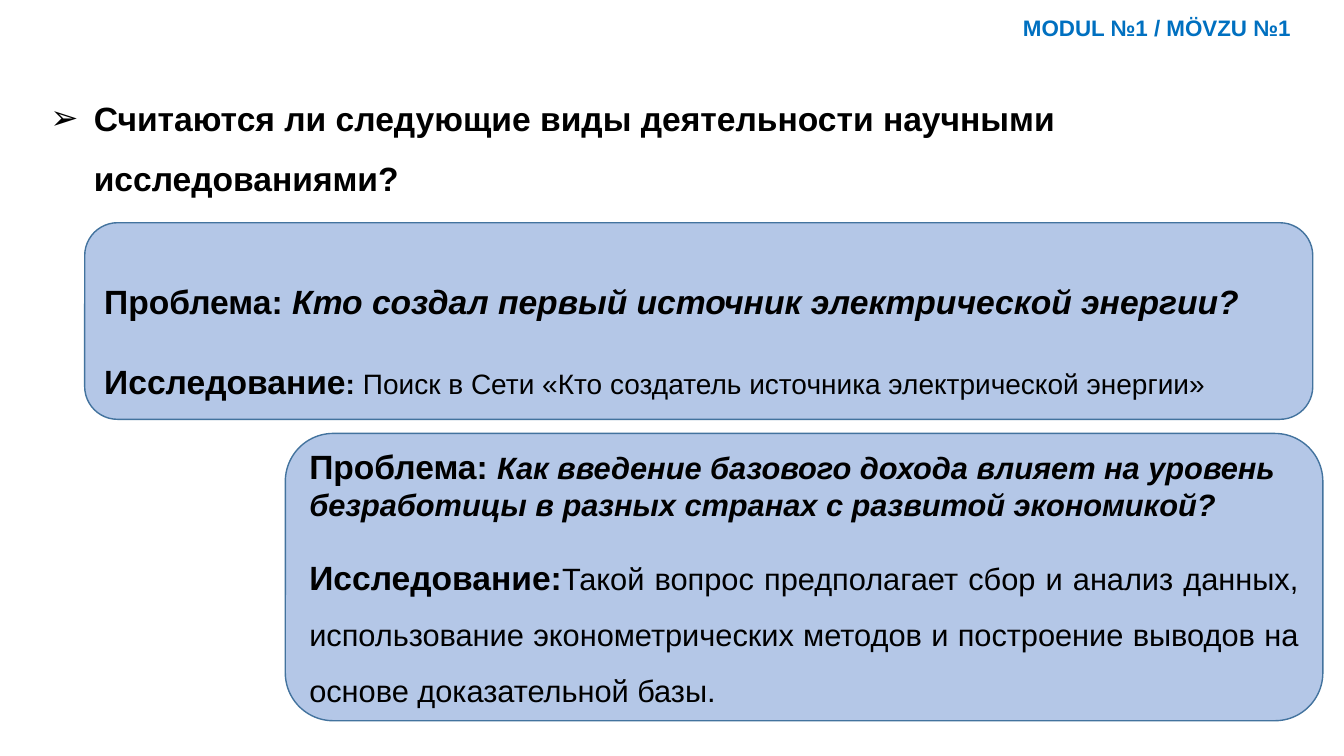
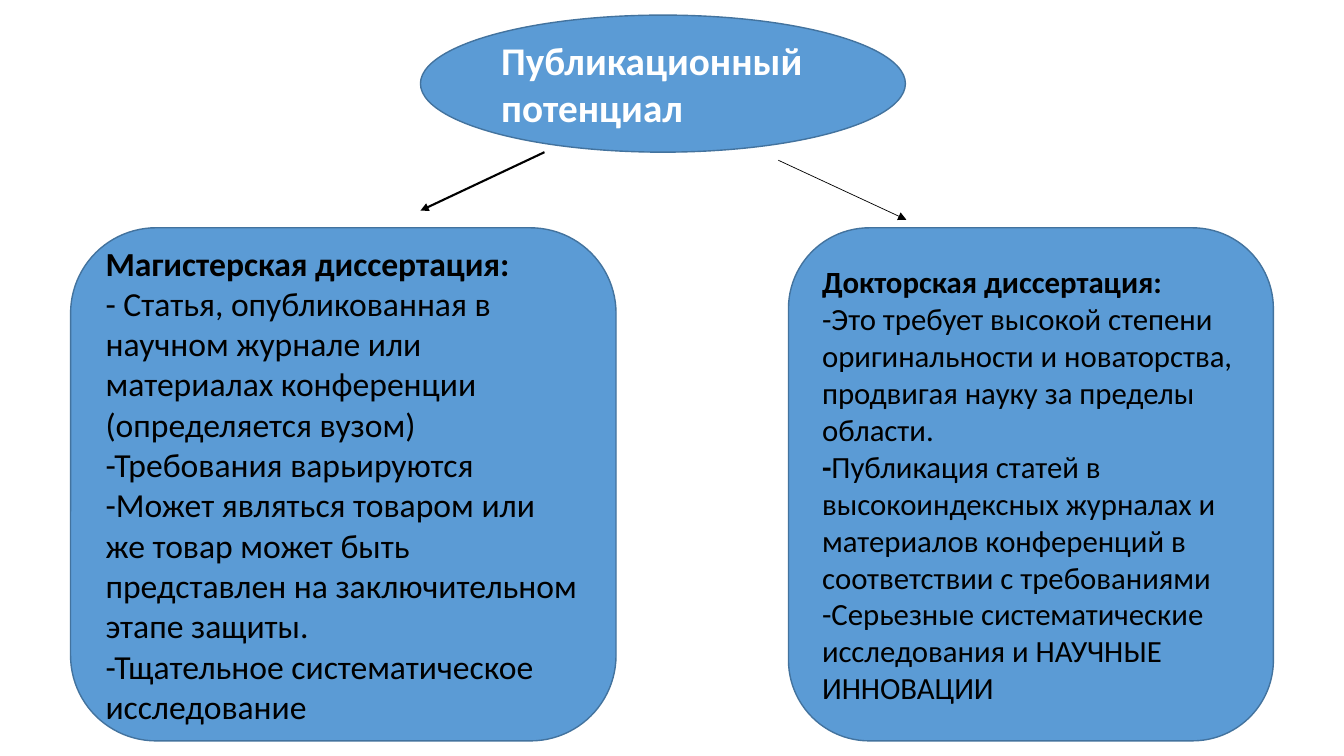
from lxml import etree
from pptx import Presentation
from pptx.dml.color import RGBColor
from pptx.enum.shapes import MSO_CONNECTOR, MSO_SHAPE
from pptx.enum.text import MSO_ANCHOR, MSO_AUTO_SIZE, PP_ALIGN
from pptx.oxml.ns import qn
from pptx.util import Inches, Pt

ROUND, ELLIPSE = MSO_SHAPE.ROUNDED_RECTANGLE, MSO_SHAPE.OVAL
STRAIGHT = MSO_CONNECTOR.STRAIGHT
NO_FIT = MSO_AUTO_SIZE.NONE
TOP, MIDDLE, BOTTOM = MSO_ANCHOR.TOP, MSO_ANCHOR.MIDDLE, MSO_ANCHOR.BOTTOM
LEFT, CENTER, JUSTIFY = PP_ALIGN.LEFT, PP_ALIGN.CENTER, PP_ALIGN.JUSTIFY

COLORS = {
    "text": "000000",
    "white": "FFFFFF",
    "header": "0070C0",
    "pale": "B4C7E7",
    "blue": "5B9BD5",
    "outline": "43739E",
}
BOLD = {"bold": True}
BOLD_ITALIC = {"bold": True, "italic": True}


def color(name):
    return RGBColor.from_string(COLORS[name])


def para(*runs, **fmt):
    return runs, fmt


class Deck:
    def __init__(self):
        self.prs = Presentation()
        self.prs.slide_width = Inches(13.33)
        self.prs.slide_height = Inches(7.5)
        self.s = None
        self.font = "Arial"

    def slide(self, font):
        self.s = self.prs.slides.add_slide(self.prs.slide_layouts[5])
        self.font = font

    def fill_text(self, sp, paras, size, ink="text", anchor=MIDDLE):
        tf = sp.text_frame
        frame = {"word_wrap": True, "auto_size": NO_FIT, "vertical_anchor": anchor}
        for name, value in frame.items():
            setattr(tf, name, value)
        for i, (runs, fmt) in enumerate(paras):
            p = tf.add_paragraph() if i else tf.paragraphs[0]
            for name, value in {"alignment": LEFT, **fmt}.items():
                setattr(p, name, value)
            for text, style in runs:
                r = p.add_run()
                r.text = text
                base = {"name": self.font, "size": Pt(size),
                        "bold": False, "italic": False}
                for name, value in {**base, **style}.items():
                    setattr(r.font, name, value)
                r.font.color.rgb = color(ink)

    def title(self, box, text, size, ink="text", anchor=MIDDLE, bullet=None, **fmt):
        sp = self.s.shapes.title
        for name, value in zip(("left", "top", "width", "height"), box):
            setattr(sp, name, Inches(value))
        self.s.shapes.element.append(sp.element)
        if bullet:
            pPr = sp.text_frame.paragraphs[0]._p.get_or_add_pPr()
            pPr.set("marL", str(Inches(0.43)))
            pPr.set("indent", str(-Inches(0.43)))
            etree.SubElement(pPr, qn("a:buFont"), typeface="Arial")
            etree.SubElement(pPr, qn("a:buChar"), char=bullet)
        self.fill_text(sp, [para((text, BOLD), **fmt)], size, ink, anchor)

    def header(self, text):
        sp = self.s.shapes.add_textbox(*map(Inches, (9.83, 0.05, 3.29, 0.41)))
        self.fill_text(sp, [para((text, BOLD), alignment=CENTER, line_spacing=0.9)],
                       16, "header", BOTTOM)

    def panel(self, kind, box, fill, paras=(), size=24):
        sp = self.s.shapes.add_shape(kind, *map(Inches, box))
        sp.shadow.inherit = False
        sp.fill.solid()
        sp.fill.fore_color.rgb = color(fill)
        sp.line.color.rgb = color("outline")
        sp.line.width = Pt(1)
        self.fill_text(sp, paras, size)

    def arrow(self, start, end, width):
        c = self.s.shapes.add_connector(STRAIGHT, *map(Inches, start + end))
        c.line.color.rgb = color("text")
        c.line.width = Pt(width)
        ln = c.element.spPr.find(qn("a:ln"))
        etree.SubElement(ln, qn("a:tailEnd"), type="triangle")
        etree.SubElement(c.element.spPr, qn("a:effectLst"))


def research_slide(deck):
    deck.slide("Arial")
    deck.title((0.4, 0.72, 12.62, 1.4),
               "Считаются ли следующие виды деятельности научными исследованиями?",
               24, anchor=TOP, bullet="➢", line_spacing=1.5)
    deck.panel(ROUND, (0.84, 2.21, 12.18, 1.95), "pale", [
        para(("Проблема: ", BOLD),
             ("Кто создал первый источник электрической энергии?", BOLD_ITALIC),
             alignment=JUSTIFY, line_spacing=2.0),
        para(("Исследование", BOLD),
             (": ", {"bold": True, "size": Pt(20)}),
             ("Поиск в Сети «Кто создатель источника электрической энергии»",
              {"size": Pt(20)}),
             alignment=JUSTIFY, line_spacing=2.0),
    ])
    deck.panel(ROUND, (2.83, 4.3, 10.29, 2.85), "pale", [
        para(("Проблема: ", BOLD),
             ("Как введение базового дохода влияет на уровень безработицы "
              "в разных странах с развитой экономикой?",
              {**BOLD_ITALIC, "size": Pt(22)})),
        para(("Исследование:", BOLD),
             ("Такой вопрос предполагает сбор и анализ данных, использование "
              "эконометрических методов и построение выводов на основе "
              "доказательной базы.", {"size": Pt(22)}),
             alignment=JUSTIFY, line_spacing=1.5, space_before=Pt(10)),
    ])
    deck.header("MODUL №1 / MÖVZU №1")


def publication_slide(deck):
    deck.slide("Calibri")
    deck.panel(ELLIPSE, (4.17, 0.15, 4.81, 1.36), "blue")
    deck.title((4.87, 0.35, 3.4, 0.96), "Публикационный потенциал", 28, "white")
    deck.panel(ROUND, (0.7, 2.26, 5.41, 5.09), "blue", [
        para(("Магистерская диссертация:", BOLD)),
        para(("- Статья, опубликованная в научном журнале или материалах "
              "конференции (определяется вузом)", {})),
        para(("-Требования варьируются", {})),
        para(("-Может являться товаром или же товар может быть представлен "
              "на заключительном этапе защиты.", {})),
        para(("-Тщательное систематическое исследование", {})),
    ])
    deck.panel(ROUND, (7.82, 2.26, 4.81, 5.09), "blue", [
        para(("Докторская диссертация:", BOLD)),
        para(("-Это требует высокой степени оригинальности и новаторства, "
              "продвигая науку за пределы области.", {})),
        para(("-", BOLD),
             ("Публикация статей в высокоиндексных журналах и материалов "
              "конференций в соответствии с требованиями", {})),
        para(("-Серьезные систематические исследования и НАУЧНЫЕ ИННОВАЦИИ", {})),
    ], 22)
    deck.arrow((5.4, 1.51), (4.17, 2.09), 1.5)
    deck.arrow((7.72, 1.59), (8.99, 2.18), 0.5)


def main():
    deck = Deck()
    research_slide(deck)
    publication_slide(deck)
    deck.prs.save("out.pptx")


if __name__ == "__main__":
    main()
